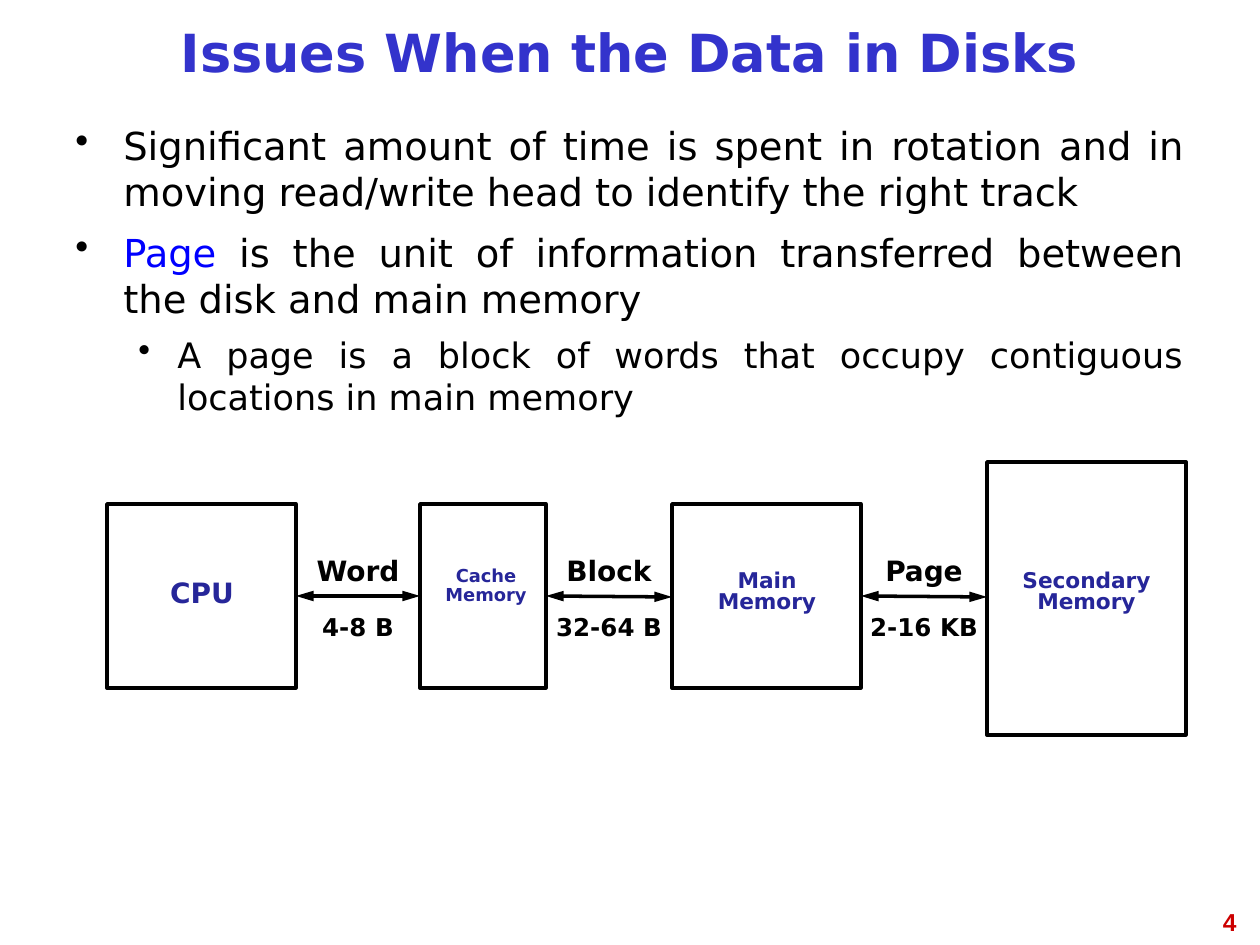
from dataclasses import dataclass
from itertools import pairwise

from lxml.etree import SubElement
from pptx import Presentation
from pptx.dml.color import RGBColor as Color
from pptx.enum.shapes import MSO_CONNECTOR as Connector, MSO_SHAPE as Shape
from pptx.enum.text import MSO_ANCHOR as Anchor, MSO_AUTO_SIZE as AutoSize, PP_ALIGN as Align
from pptx.oxml.ns import qn
from pptx.util import Emu, Pt

EMU_PER_PX = 914400 / 126
TITLE_ONLY = 5


@dataclass(frozen=True)
class Theme:
    font: str = "DejaVu Sans"
    number_font: str = "Arial"
    title: str = "3333CC"
    ink: str = "000000"
    paper: str = "FFFFFF"
    highlight: str = "0000FF"
    node: str = "262699"
    number: str = "CC0000"
    title_size: float = 30
    bullet_size: float = 22
    detail_size: float = 20
    label_size: float = 16
    small_size: float = 14
    node_size: float = 12.4
    cache_size: float = 10.2
    line: float = 2


def px(value):
    return Emu(round(value * EMU_PER_PX))


def apply(target, values):
    for name, value in values.items():
        setattr(target, name, value)


class Deck:
    """Holds the theme and the current slide, and draws each kind of element."""

    def __init__(self, theme, width, height):
        self.theme = theme
        self.presentation = Presentation()
        apply(self.presentation, {"slide_width": px(width), "slide_height": px(height)})
        layout = self.presentation.slide_layouts[TITLE_ONLY]
        self.slide = self.presentation.slides.add_slide(layout)

    def run(self, paragraph, text, size, color, bold=True, font=None):
        run = paragraph.add_run()
        run.text = text
        apply(run.font, {"name": font or self.theme.font, "size": Pt(size), "bold": bold})
        run.font.color.rgb = Color.from_string(color)

    def frame(self, shape, anchor):
        apply(shape.text_frame, {
            "word_wrap": True, "auto_size": AutoSize.NONE, "vertical_anchor": anchor,
        })
        return shape.text_frame

    def textbox(self, box, anchor=Anchor.MIDDLE):
        shape = self.slide.shapes.add_textbox(*map(px, box))
        return self.frame(shape, anchor)

    def title(self, text, box):
        shape = self.slide.shapes.title
        apply(shape, dict(zip(("left", "top", "width", "height"), map(px, box))))
        paragraph = self.frame(shape, Anchor.MIDDLE).paragraphs[0]
        apply(paragraph, {"alignment": Align.CENTER, "line_spacing": 0.81})
        self.run(paragraph, text, self.theme.title_size, self.theme.title)

    def label(self, text, box, size, color, spacing=1.0):
        paragraph = self.textbox(box).paragraphs[0]
        apply(paragraph, {
            "alignment": Align.CENTER, "line_spacing": spacing, "space_before": Pt(8),
        })
        self.run(paragraph, text, size, color)

    def number(self, text, box):
        paragraph = self.textbox(box, Anchor.TOP).paragraphs[0]
        paragraph.alignment = Align.RIGHT
        theme = self.theme
        self.run(paragraph, text, theme.small_size, theme.number, font=theme.number_font)

    def bullets(self, items, box):
        theme = self.theme
        levels = (
            (theme.bullet_size, 8, 48, 48),
            (theme.detail_size, 7, 102, 39),
        )
        frame = self.textbox(box, Anchor.TOP)
        for index, (level, runs) in enumerate(items):
            paragraph = frame.add_paragraph() if index else frame.paragraphs[0]
            size, before, margin, hanging = levels[level]
            apply(paragraph, {
                "level": level, "alignment": Align.JUSTIFY, "space_before": Pt(before),
            })
            properties = paragraph._p.get_or_add_pPr()
            properties.set("marL", str(px(margin)))
            properties.set("indent", str(-px(hanging)))
            bullet_color = SubElement(properties, qn("a:buClr"))
            SubElement(bullet_color, qn("a:srgbClr"), val=theme.ink)
            SubElement(properties, qn("a:buChar"), char="•")
            for text, color in runs:
                self.run(paragraph, text, size, color, bold=False)

    def node(self, box):
        shape = self.slide.shapes.add_shape(Shape.RECTANGLE, *map(px, box))
        shape.shadow.inherit = False
        shape.fill.solid()
        shape.fill.fore_color.rgb = Color.from_string(self.theme.paper)
        self.stroke(shape.line)

    def stroke(self, line):
        line.width = Pt(self.theme.line)
        line.color.rgb = Color.from_string(self.theme.ink)

    def arrow(self, start, end):
        connector = self.slide.shapes.add_connector(
            Connector.STRAIGHT, *map(px, (*start, *end)))
        self.stroke(connector.line)
        for tag in ("a:headEnd", "a:tailEnd"):
            SubElement(connector.line._ln, qn(tag), type="triangle", w="med", len="lg")
        SubElement(connector._element.spPr, qn("a:effectLst"))

    def save(self):
        self.presentation.save("out.pptx")


def main():
    theme = Theme()
    deck = Deck(theme, 1260, 945)
    deck.number("4", (955, 901, 294, 66))
    deck.title("Issues When the Data in Disks", (63, 10, 1133, 95))
    deck.bullets([
        (0, [("Significant amount of time is spent in rotation and in moving "
              "read/write head to identify the right track", theme.ink)]),
        (0, [("Page", theme.highlight),
             (" is the unit of information transferred between the disk and "
              "main memory", theme.ink)]),
        (1, [("A page is a block of words that occupy contiguous locations in "
              "main memory", theme.ink)]),
    ], (63, 116, 1133, 735))

    nodes = [
        ("CPU", (107, 504, 189, 184), (118, 558, 168, 69), theme.label_size, 1.0),
        ("Cache Memory", (420, 504, 126, 184), (402, 567, 168, 38), theme.cache_size, 0.9),
        ("Main Memory", (672, 504, 189, 184), (683, 558, 168, 69), theme.node_size, 0.8),
        ("Secondary Memory", (987, 462, 199, 273), (987, 558, 199, 69), theme.node_size, 0.8),
    ]
    for text, box, label_box, size, spacing in nodes:
        deck.node(box)
        deck.label(text, label_box, size, theme.node, spacing)

    links = [("Word", "4-8 B", 596), ("Block", "32-64 B", 597), ("Page", "2-16 KB", 597)]
    boxes = [box for _, box, *_ in nodes]
    for (unit, amount, end_y), (source, target) in zip(links, pairwise(boxes)):
        start_x, end_x = source[0] + source[2], target[0]
        label_left = (start_x + end_x) // 2 - 84
        deck.arrow((start_x, 596), (end_x, end_y))
        deck.label(unit, (label_left, 536, 168, 69), theme.label_size, theme.ink)
        deck.label(amount, (label_left, 592, 168, 69), theme.small_size, theme.ink)
    deck.save()


if __name__ == "__main__":
    main()
